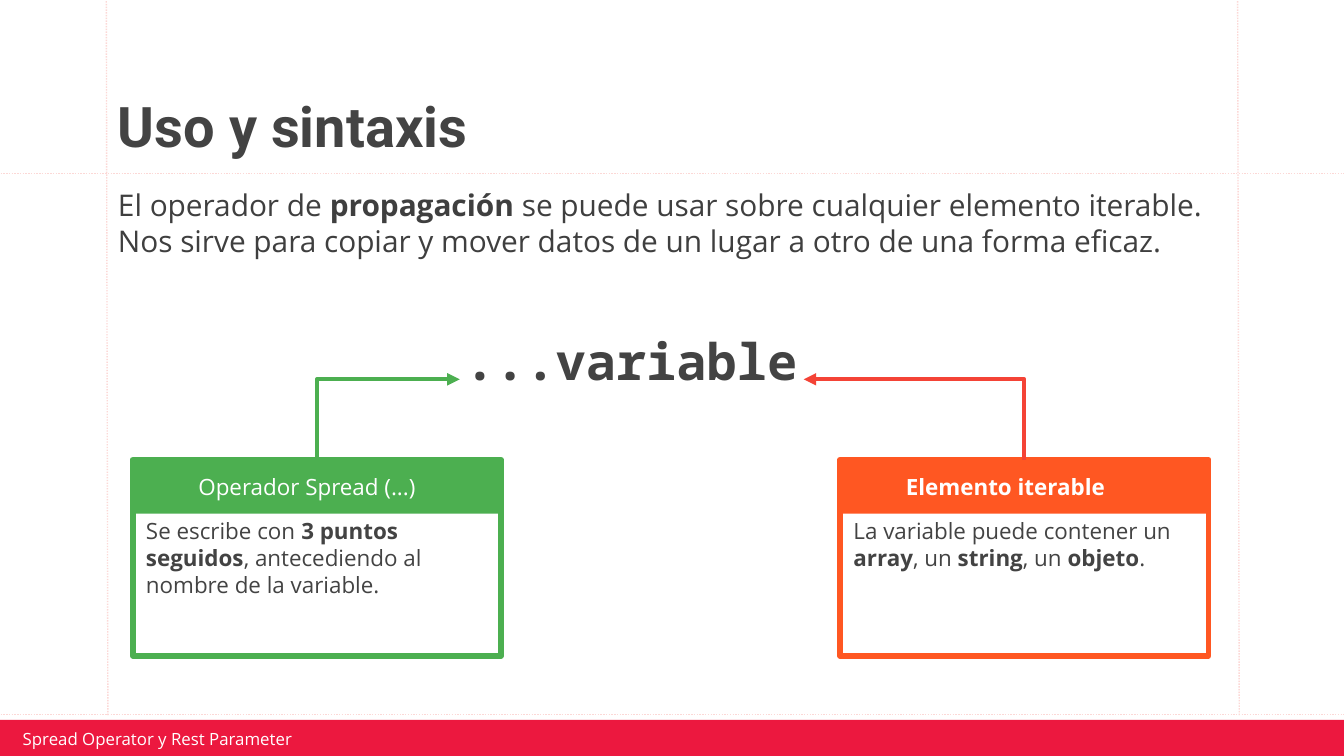
from dataclasses import dataclass

from pptx import Presentation
from pptx.dml.color import RGBColor as Rgb
from pptx.enum.dml import MSO_LINE as Dash
from pptx.enum.shapes import MSO_CONNECTOR as Link, MSO_SHAPE as Form
from pptx.enum.text import MSO_ANCHOR as Anchor, MSO_AUTO_SIZE as Fit, PP_ALIGN as Align
from pptx.oxml.ns import qn
from pptx.oxml.xmlchemy import OxmlElement as Node
from pptx.util import Cm, Pt


@dataclass(frozen=True)
class Theme:
    """Colours, fonts and type sizes of the slide."""
    ink: str = "434343"
    soft: str = "3F3F3F"
    white: str = "FFFFFF"
    bar: str = "EC183F"
    guide: str = "FCD8D6"
    green: str = "4CAF50"
    orange: str = "FF5722"
    red: str = "F44336"
    head: str = "Roboto"
    body: str = "Open Sans"
    code: str = "Noto Sans Mono"
    title: int = 30
    big: int = 27
    lead: int = 16
    text: int = 12
    small: int = 9


class Board:
    """Draws each kind of element on the current slide."""

    def __init__(self, slide, theme):
        """Keep the slide and its theme."""
        self.slide, self.theme = slide, theme
        self.shapes = slide.shapes

    def letter(self, shape, runs, size, color, font=None, pad=(0.25,) * 4,
               anchor=Anchor.TOP, align=Align.LEFT, gap=0, pitch=None):
        """Fill a shape with one paragraph of (text, bold) runs."""
        frame = shape.text_frame
        frame.word_wrap, frame.auto_size = True, Fit.NONE
        frame.vertical_anchor = anchor
        (frame.margin_left, frame.margin_top,
         frame.margin_right, frame.margin_bottom) = map(Cm, pad)
        para = frame.paragraphs[0]
        para.alignment, para.space_before = align, Pt(gap)
        if pitch:
            para.line_spacing = pitch
        for words, bold in runs:
            run = para.add_run()
            run.text = words
            run.font.name, run.font.size = font or self.theme.body, Pt(size)
            run.font.bold = bold
            run.font.color.rgb = Rgb.from_string(color)

    def title(self, box, words):
        """Place and format the title placeholder."""
        shape = self.shapes.title
        shape.left, shape.top, shape.width, shape.height = map(Cm, box)
        self.letter(shape, [(words, True)], self.theme.title, self.theme.ink,
                    self.theme.head, anchor=Anchor.BOTTOM, pitch=0.9)

    def label(self, box, runs, size, color, **style):
        """Add a text box."""
        self.letter(self.shapes.add_textbox(*map(Cm, box)), runs, size, color, **style)

    def rect(self, box, fill=None, edge=None, home=None):
        """Add a rectangle, filled or outlined."""
        shape = (home or self.shapes).add_shape(Form.RECTANGLE, *map(Cm, box))
        shape.shadow.inherit = False
        if fill:
            shape.fill.solid()
            shape.fill.fore_color.rgb = Rgb.from_string(fill)
        else:
            shape.fill.background()
        if edge:
            shape.line.color.rgb = Rgb.from_string(edge)
            shape.line.width = Pt(3)
        else:
            shape.line.fill.background()
        return shape

    def card(self, x, y, color, head, runs):
        """Add a framed card with a coloured header."""
        home = self.shapes.add_group_shape().shapes
        frame = self.rect((x, y, 6.96, 3.71), edge=color, home=home)
        self.letter(frame, runs, self.theme.text, self.theme.ink,
                    pad=(0.25, 1.09, 0.25, 0.13), gap=6)
        band = self.rect((x, y, 6.96, 1.02), fill=color, home=home)
        self.letter(band, [head], self.theme.text, self.theme.white,
                    pad=(1.24, 0, 0.25, 0), anchor=Anchor.MIDDLE)

    def line(self, kind, ends, color, width):
        """Add a connector without shadow."""
        line = self.shapes.add_connector(kind, *map(Cm, ends))
        line.line.color.rgb = Rgb.from_string(color)
        line.line.width = Pt(width)
        line.element.spPr.append(Node("a:effectLst"))
        return line

    def guide(self, *ends):
        """Add a dotted guide line."""
        line = self.line(Link.STRAIGHT, ends, self.theme.guide, 0.75)
        line.line.dash_style = Dash.ROUND_DOT

    def arrow(self, x, y, tip, top, color):
        """Add an arrow that rises, then turns sideways to its tip."""
        side = 1 if tip > x else -1
        mid, level = (x + tip) / 2, (y + top) / 2
        rise, run = side * (y - top) / 2, abs(tip - x) / 2
        ends = mid - rise, level - run, mid + rise, level + run
        line = self.line(Link.ELBOW, ends, color, 2.25)
        props = line.element.spPr
        props.find(qn("a:xfrm")).set("rot", str((180 + 90 * side) * 60000))
        props.find(qn("a:prstGeom")).set("prst", "bentConnector2")
        tail = Node("a:tailEnd")
        tail.set("type", "triangle")
        props.find(qn("a:ln")).append(tail)


def main():
    """Build and save the slide."""
    deck = Presentation()
    deck.slide_width, deck.slide_height = Cm(25.4), Cm(14.29)
    theme = Theme()
    board = Board(deck.slides.add_slide(deck.slide_layouts[5]), theme)

    for x in (2.01, 23.39):
        board.guide(x, -0.03, x + 0.03, 13.54)
    for y in (3.28, 13.51):
        board.guide(-0.04, y, 25.46, y)

    board.title((1.98, 1.52, 21.36, 1.75), "Uso y sintaxis")
    board.label((1.98, 3.28, 21.41, 1.35), [
        ("El operador de ", False), ("propagación", True),
        (" se puede usar sobre cualquier elemento iterable. Nos sirve para copiar"
         " y mover datos de un lugar a otro de una forma eficaz.", False),
    ], theme.lead, theme.soft, gap=6)
    board.label((2.57, 5.99, 18.72, 2.03), [("...variable", True)],
                theme.big, theme.ink, font=theme.code, align=Align.CENTER, gap=6)

    board.card(15.88, 8.69, theme.orange, ("Elemento iterable", True), [
        ("La variable puede contener un ", False), ("array", True),
        (", un ", False), ("string", True), (", un ", False),
        ("objeto", True), (".", False)])
    board.card(2.51, 8.69, theme.green, ("Operador Spread (...)", False), [
        ("Se escribe con ", False), ("3 puntos seguidos", True),
        (", antecediendo al nombre de la variable.", False)])
    board.arrow(5.99, 8.69, 8.69, 7.17, theme.green)
    board.arrow(19.36, 8.69, 15.19, 7.17, theme.red)

    board.rect((-0.05, 13.61, 25.48, 0.69), fill=theme.bar)
    board.label((0.3, 13.77, 6.07, 0.38), [("Spread Operator y Rest Parameter", False)],
                theme.small, theme.white, pad=(0.13, 0.05, 0.13, 0.05),
                anchor=Anchor.MIDDLE)
    deck.save("out.pptx")


if __name__ == "__main__":
    main()
